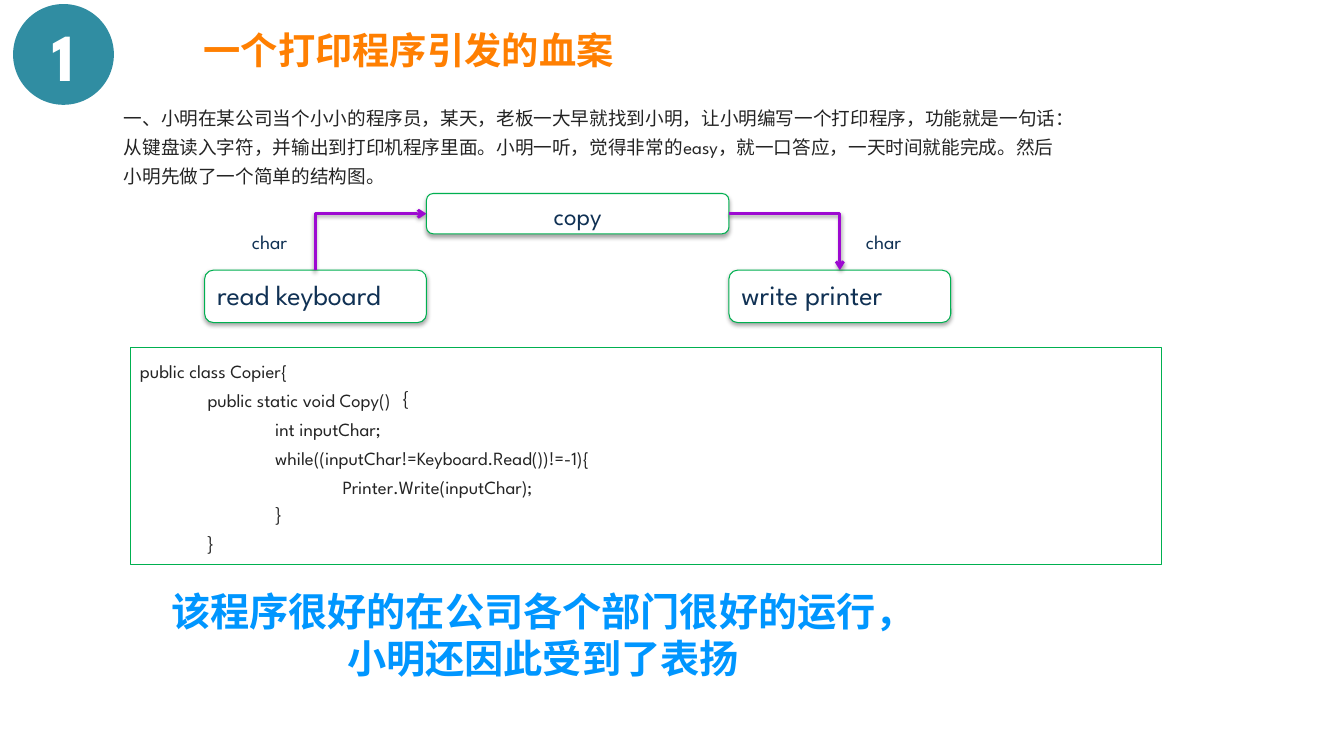
from lxml import etree
from pptx import Presentation
from pptx import util as u
from pptx.dml.color import RGBColor
from pptx.enum import lang, shapes, text
from pptx.oxml import ns

COLORS = {
    "badge": "308DA2", "title": "FF7F01", "body": "242424", "white": "FFFFFF",
    "border": "00B050", "node": "103154", "arrow": "9D09D1", "praise": "0096FF",
}
FORMATS = {
    "badge": {"size": u.Pt(48), "bold": True},
    "title": {"size": u.Pt(26.6), "bold": True},
    "body": {"size": u.Pt(13.3)},
    "copy": {"size": u.Pt(18)},
    "device": {"size": u.Pt(20)},
    "char": {"size": u.Pt(14)},
    "praise": {"size": u.Pt(28), "bold": True},
}
LEFT, CENTER = text.PP_ALIGN.LEFT, text.PP_ALIGN.CENTER
TOP, MIDDLE = text.MSO_ANCHOR.TOP, text.MSO_ANCHOR.MIDDLE
SHAPE = shapes.MSO_SHAPE
TAB_WIDTH = u.Inches(0.67)

STORY = [
    "一、小明在某公司当个小小的程序员，某天，老板一大早就找到小明，让小明编写一个打印程序，功能就是一句话：",
    "从键盘读入字符，并输出到打印机程序里面。小明一听，觉得非常的easy，就一口答应，一天时间就能完成。然后小明先做了一个简单的结构图。",
]
CODE = [
    "public class Copier{",
    "\tpublic static void Copy()｛",
    "\t\tint inputChar;",
    "\t\twhile((inputChar!=Keyboard.Read())!=-1){",
    "\t\t\tPrinter.Write(inputChar);",
    "\t\t｝",
    "\t｝",
]
PRAISE = ["该程序很好的在公司各个部门很好的运行，", "小明还因此受到了表扬"]


def rgb(name):
    return RGBColor.from_string(COLORS[name])


def inches(box):
    return [u.Inches(length) for length in box]


def write(holder, lines, style, color, align=LEFT, anchor=TOP, spacing=1.0, wrap=True):
    frame = holder.text_frame
    frame.word_wrap = wrap
    frame.vertical_anchor = anchor
    for index, line in enumerate(lines):
        paragraph = frame.paragraphs[0] if index == 0 else frame.add_paragraph()
        paragraph.alignment = align
        paragraph.line_spacing = spacing
        paragraph._p.get_or_add_pPr().set("defTabSz", str(TAB_WIDTH))
        run = paragraph.add_run()
        run.text = line
        run.font.color.rgb = rgb(color)
        values = {"name": "League Spartan", "language_id": lang.MSO_LANGUAGE_ID.SIMPLIFIED_CHINESE}
        for attribute, value in {**values, **FORMATS[style]}.items():
            setattr(run.font, attribute, value)
    return frame


def add_label(slide, box, lines, style, color, **layout):
    return write(slide.shapes.add_textbox(*inches(box)), lines, style, color, **layout)


def add_panel(slide, box, preset, fill=None, border=None):
    panel = slide.shapes.add_shape(preset, *inches(box))
    panel.shadow.inherit = False
    if fill:
        panel.fill.solid()
        panel.fill.fore_color.rgb = rgb(fill)
    else:
        panel.fill.background()
    if border:
        panel.line.color.rgb = rgb(border)
        panel.line.width = u.Pt(0.75)
    else:
        panel.line.fill.background()
    return panel


def add_shadow(item, distance, opacity):
    properties = item._element.spPr
    effects = properties.find(ns.qn("a:effectLst"))
    if effects is None:
        effects = etree.SubElement(properties, ns.qn("a:effectLst"))
    shadow = etree.SubElement(effects, ns.qn("a:outerShdw"), blurRad=str(u.Pt(3.1)),
                              dist=str(u.Pt(distance)), dir="5400000", rotWithShape="0")
    tint = etree.SubElement(shadow, ns.qn("a:srgbClr"), val="000000")
    etree.SubElement(tint, ns.qn("a:alpha"), val=str(opacity * 1000))


def add_node(slide, box, caption, style, align=LEFT):
    node = add_panel(slide, box, SHAPE.ROUNDED_RECTANGLE, "white", "border")
    add_shadow(node, 1.8, 35)
    write(node, [caption], style, "node", align=align)


def add_flow(slide, box, turn=0):
    left, top, width, height = box
    if turn:
        left, top = left + (width - height) / 2, top + (height - width) / 2
        width, height = height, width
    flow = slide.shapes.add_connector(
        shapes.MSO_CONNECTOR.ELBOW, *inches([left, top, left + width, top + height]))
    properties = flow._element.spPr
    properties.find(ns.qn("a:prstGeom")).set("prst", "bentConnector2")
    properties.find(ns.qn("a:xfrm")).set("rot", str(turn * 60000))
    flow.line.color.rgb = rgb("arrow")
    flow.line.width = u.Pt(2)
    etree.SubElement(flow.line._get_or_add_ln(), ns.qn("a:tailEnd"), type="arrow")
    add_shadow(flow, 1.6, 38)


def build_header(slide, left, top):
    badge = add_panel(slide, (left, top, 1, 1), SHAPE.OVAL, "badge")
    write(badge, ["1"], "badge", "white", align=CENTER, anchor=MIDDLE)
    title = add_label(slide, (left + 1.16, top + 0.01, 5.53, 0.99), ["一个打印程序引发的血案"],
                      "title", "title", align=CENTER, anchor=MIDDLE, spacing=1.3)
    title.margin_bottom = u.Inches(0.28)


def build_structure(slide, left, top):
    device_width, copy_width, copy_height, device_drop = 2.2, 3, 0.4, 0.76
    copy_left = left + device_width
    copy_right = copy_left + copy_width
    add_node(slide, (copy_left, top, copy_width, copy_height), "copy", "copy", CENTER)
    for device_left, caption in ((left, "read keyboard"), (copy_right, "write printer")):
        add_node(slide, (device_left, top + device_drop, device_width, 0.52), caption, "device")
    flow_top = top + copy_height / 2
    flow_size = (device_width / 2, device_drop - copy_height / 2)
    for flow_left, turn in ((left + device_width / 2, 270), (copy_right, 0)):
        add_flow(slide, (flow_left, flow_top, *flow_size), turn)
    for char_left in (left + 0.37, copy_right + 1.26):
        add_label(slide, (char_left, top + 0.31, 0.61, 0.34), ["char"], "char", "node")


def build_code(slide, box):
    listing = add_panel(slide, box, SHAPE.RECTANGLE, border="border")
    write(listing, CODE, "body", "body", spacing=1.3)


def main():
    deck = Presentation()
    deck.slide_width, deck.slide_height = inches((13.33, 7.5))
    slide = deck.slides.add_slide(deck.slide_layouts[6])
    build_header(slide, 0.13, 0.04)
    add_label(slide, (1.13, 0.94, 9.57, 0.98), STORY, "body", "body", spacing=1.3)
    build_structure(slide, 2.03, 1.92)
    build_code(slide, (1.29, 3.45, 10.23, 2.15))
    add_label(slide, (1.59, 5.78, 7.59, 1.04), PRAISE, "praise", "praise",
              align=CENTER, wrap=False)
    deck.save("out.pptx")


if __name__ == "__main__":
    main()
